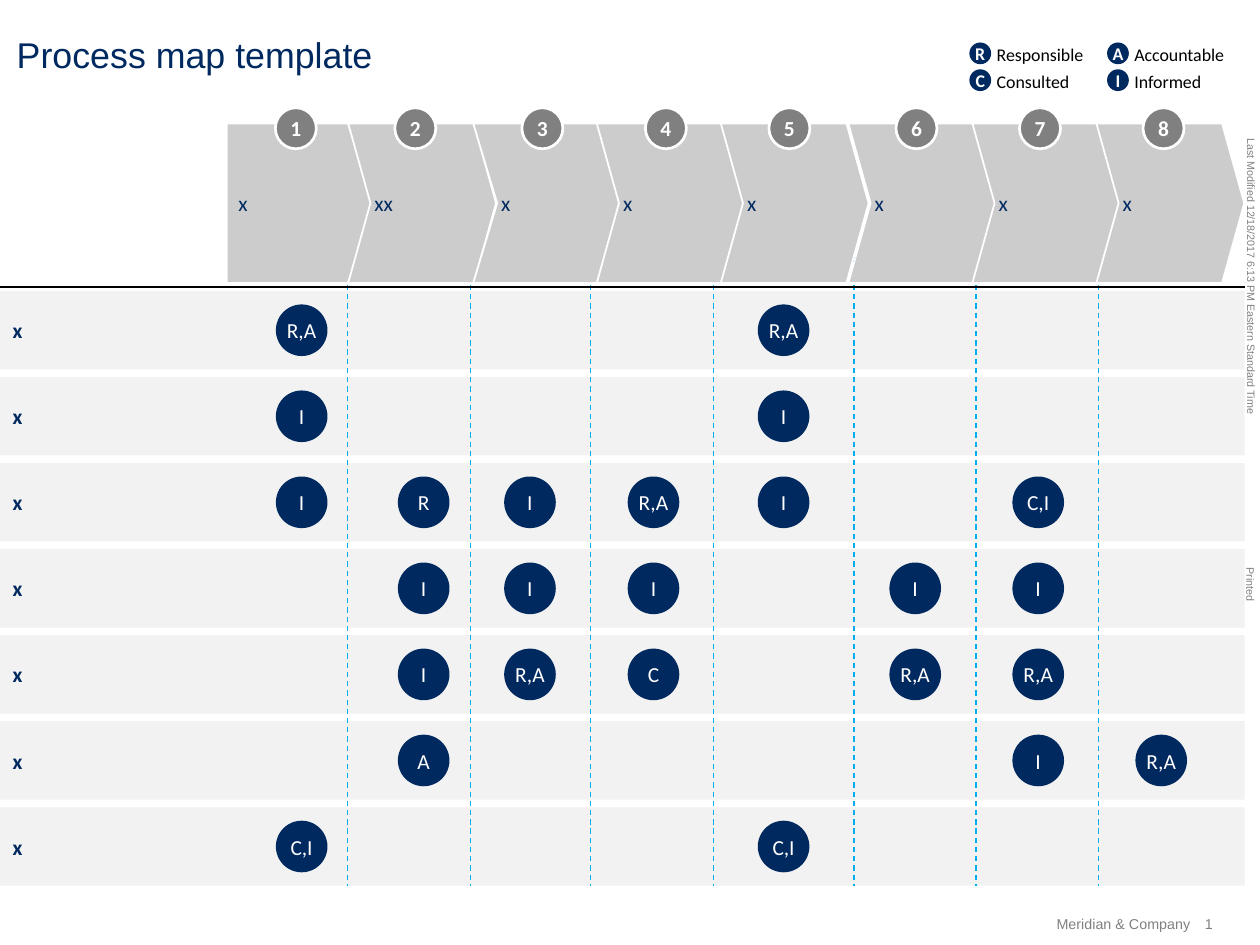
import pptx
import pptx.dml.color
import pptx.enum.dml
import pptx.enum.shapes
import pptx.enum.text
import pptx.oxml.ns
import pptx.util
from lxml import etree
from pptx.dml.color import RGBColor
from pptx.enum.shapes import MSO_SHAPE
from pptx.enum.text import MSO_ANCHOR, PP_ALIGN
from pptx.util import Cm

NAVY = RGBColor(0x00, 0x29, 0x60)
CYAN = RGBColor(0x00, 0xAD, 0xEF)
BLACK = RGBColor(0x00, 0x00, 0x00)
WHITE = RGBColor(0xFF, 0xFF, 0xFF)
DARK_GREY = RGBColor(0x80, 0x80, 0x80)
MID_GREY = RGBColor(0xCC, 0xCC, 0xCC)
LIGHT_GREY = RGBColor(0xF2, 0xF2, 0xF2)

RIGHT_EDGE = 24.59
ROW_TOP, ROW_PITCH, ROW_HEIGHT = 5.75, 1.7, 1.55
ROLE_SIZE, BADGE_SIZE, KEY_SIZE = 1.02, 0.81, 0.43
NO_INSETS = (0, 0, 0, 0)
ROW_INSETS = (0.25, 0.13, 0.25, 0.13)

ROLE_LEFTS = (5.45, 7.86, 9.96, 12.4, 14.97, 17.57, 20, 22.43)
DIVIDERS = (6.86, 9.3, 11.67, 14.1, 16.87, 19.28, 21.7)
STEPS = (
    (4.48, 2.92, 5.44, "x"),
    (6.88, 2.92, 7.8, "xx"),
    (9.35, 3.22, 10.31, "x"),
    (11.79, 2.92, 12.75, "x"),
    (14.24, 2.92, 15.19, "x"),
    (16.76, 2.92, 17.7, "x"),
    (19.21, 2.92, 20.14, "x"),
    (21.66, 2.92, 22.58, "x"),
)
ROWS = (
    ("x", {1: "R,A", 5: "R,A"}),
    ("x", {1: "I", 5: "I"}),
    ("x", {1: "I", 2: "R", 3: "I", 4: "R,A", 5: "I", 7: "C,I"}),
    ("x", {2: "I", 3: "I", 4: "I", 6: "I", 7: "I"}),
    ("x", {2: "I", 3: "R,A", 4: "C", 6: "R,A", 7: "R,A"}),
    ("x", {2: "A", 7: "I", 8: "R,A"}),
    ("x", {1: "C,I", 5: "C,I"}),
)
LEGEND = (
    (19.15, 0.84, "Responsible"),
    (19.15, 1.37, "Consulted"),
    (21.87, 0.84, "Accountable"),
    (21.87, 1.37, "Informed"),
)


def write_text(shape, text, size, color, font="Calibri", bold=False,
               align=PP_ALIGN.LEFT, anchor=MSO_ANCHOR.MIDDLE,
               insets=NO_INSETS, wrap=False):
    frame = shape.text_frame
    frame.word_wrap = wrap
    frame.auto_size = pptx.enum.text.MSO_AUTO_SIZE.NONE
    frame.vertical_anchor = anchor
    (frame.margin_left, frame.margin_top,
     frame.margin_right, frame.margin_bottom) = map(Cm, insets)
    paragraph = frame.paragraphs[0]
    paragraph.text = text
    paragraph.alignment = align
    paragraph.font.name = font
    paragraph.font.size = pptx.util.Pt(size)
    paragraph.font.bold = bold
    paragraph.font.color.rgb = color


def add_filled(slide, kind, left, top, width, height, fill, outline=None, outline_width=1):
    shape = slide.shapes.add_shape(kind, Cm(left), Cm(top), Cm(width), Cm(height))
    shape.shadow.inherit = False
    shape.fill.solid()
    shape.fill.fore_color.rgb = fill
    if outline is None:
        shape.line.fill.background()
    else:
        shape.line.color.rgb = outline
        shape.line.width = pptx.util.Pt(outline_width)
    return shape


def add_circle(slide, left, top, diameter, text, size=12, bold=False,
               fill=NAVY, outline=None):
    circle = add_filled(slide, MSO_SHAPE.OVAL, left, top, diameter, diameter,
                        fill, outline, 1.5)
    write_text(circle, text, size, WHITE, bold=bold, align=PP_ALIGN.CENTER)


def add_label(slide, left, top, width, height, text, size, color, rotation=0, **style):
    label = slide.shapes.add_textbox(Cm(left), Cm(top), Cm(width), Cm(height))
    label.rotation = rotation
    write_text(label, text, size, color, **style)


def add_line(slide, start, end, color, width, dash=None):
    line = slide.shapes.add_connector(
        pptx.enum.shapes.MSO_CONNECTOR.STRAIGHT, *map(Cm, start + end))
    line.line.color.rgb = color
    line.line.width = pptx.util.Pt(width)
    if dash is not None:
        line.line.dash_style = dash
    etree.SubElement(line._element.spPr, pptx.oxml.ns.qn("a:effectLst"))


def add_title(slide, text):
    title = slide.shapes.title
    title.left, title.top, title.width, title.height = map(Cm, (0.33, 0.64, 18, 0.86))
    write_text(title, text, 20, NAVY, font="Arial", anchor=MSO_ANCHOR.TOP, wrap=True)


def add_legend(slide):
    for left, top, meaning in LEGEND:
        add_circle(slide, left, top, KEY_SIZE, meaning[0], size=10, bold=True)
        add_label(slide, left + 0.54, top + 0.03, 1.8, KEY_SIZE, meaning, 10, BLACK,
                  anchor=MSO_ANCHOR.TOP)


def row_top(index):
    return ROW_TOP + index * ROW_PITCH


def add_rows(slide):
    for index, (name, _) in enumerate(ROWS):
        band = add_filled(slide, MSO_SHAPE.RECTANGLE, 0, row_top(index),
                          RIGHT_EDGE, ROW_HEIGHT, LIGHT_GREY)
        write_text(band, name, 12, NAVY, bold=True, insets=ROW_INSETS, wrap=True)


def add_grid_lines(slide):
    for x in DIVIDERS:
        add_line(slide, (x, 4.72), (x, 17.5), CYAN, 0.75,
                 pptx.enum.dml.MSO_LINE.DASH)
    add_line(slide, (0, 5.67), (RIGHT_EDGE, 5.67), BLACK, 1)


def add_roles(slide):
    margin = (ROW_HEIGHT - ROLE_SIZE) / 2
    for index, (_, roles) in enumerate(ROWS):
        for step, role in roles.items():
            add_circle(slide, ROLE_LEFTS[step - 1], row_top(index) + margin,
                       ROLE_SIZE, role)


def add_steps(slide):
    for number, (left, width, badge_left, name) in enumerate(STEPS, start=1):
        first = number == 1
        kind = MSO_SHAPE.PENTAGON if first else MSO_SHAPE.CHEVRON
        arrow = add_filled(slide, kind, left, 2.44, width, 3.15, MID_GREY, WHITE)
        arrow.adjustments[0] = 0.18 if first else 0.15
        write_text(arrow, name, 12, NAVY, wrap=True,
                   insets=(0.23 if first else 0.08, 0.1, 0.05, 0.1))
    for number, (_, _, badge_left, _) in enumerate(STEPS, start=1):
        add_circle(slide, badge_left, 2.13, BADGE_SIZE, str(number), bold=True,
                   fill=DARK_GREY, outline=WHITE)


def add_margin_notes(slide):
    add_label(slide, 21.95, 5.38, 5.54, 0.25,
              "Last Modified 12/18/2017 6:13 PM Eastern Standard Time",
              6, DARK_GREY, rotation=90, font="Arial", anchor=MSO_ANCHOR.TOP)
    add_label(slide, 24.36, 11.43, 0.69, 0.25, "Printed",
              6, DARK_GREY, rotation=90, font="Arial", anchor=MSO_ANCHOR.TOP)
    add_label(slide, 20.7, 18.08, 2.82, 0.33, "Meridian & Company",
              8, DARK_GREY, font="Arial", align=PP_ALIGN.RIGHT)
    add_label(slide, 23.8, 18.08, 0.36, 0.33, "1", 8, DARK_GREY, font="Arial")


def main():
    presentation = pptx.Presentation()
    presentation.slide_width = Cm(24.89)
    presentation.slide_height = Cm(18.67)
    slide = presentation.slides.add_slide(presentation.slide_layouts[5])
    add_margin_notes(slide)
    add_title(slide, "Process map template")
    add_legend(slide)
    add_rows(slide)
    add_grid_lines(slide)
    add_roles(slide)
    add_steps(slide)
    presentation.save("out.pptx")


if __name__ == "__main__":
    main()
